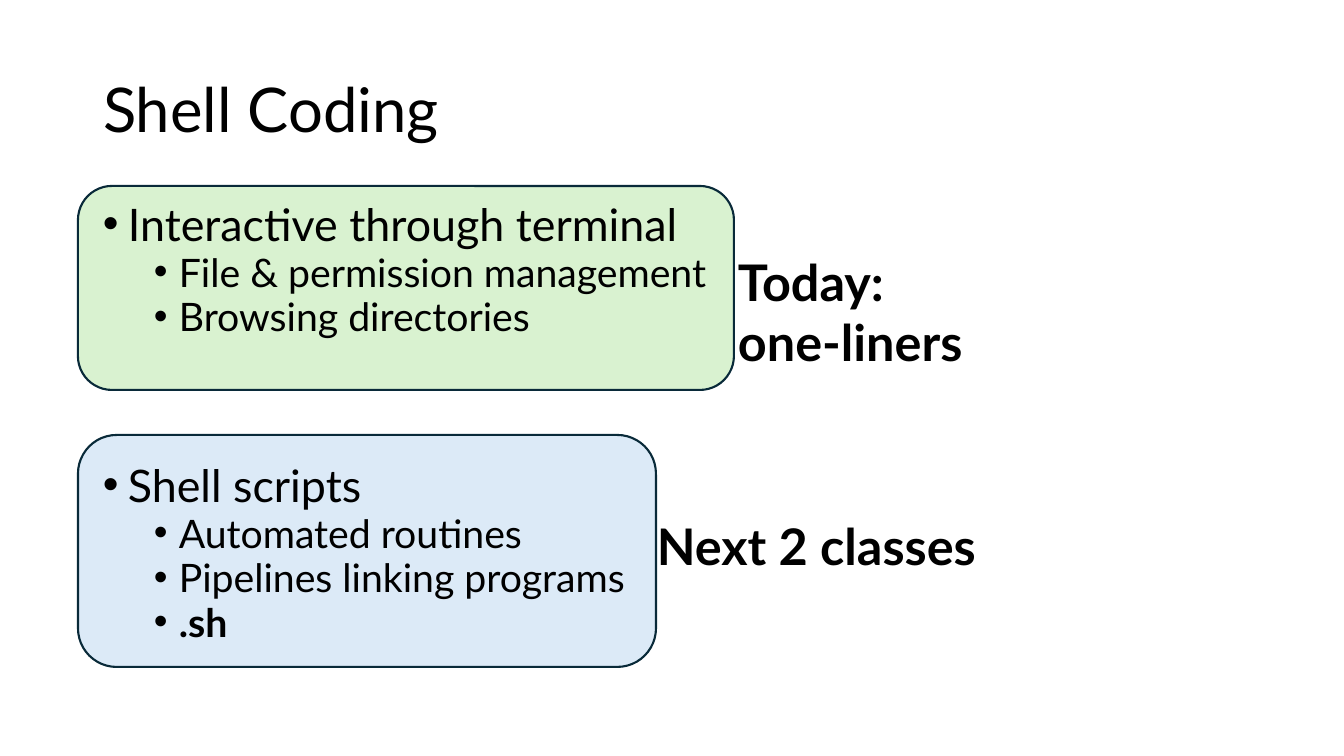
from lxml import etree
from pptx import Presentation, util as u
from pptx.dml.color import RGBColor
from pptx.enum import shapes, text
from pptx.oxml.ns import qn

SLIDE = (1344, 756)
FONT = "Lato"
COLORS = {"ink": "000000", "outline": "092A39", "green": "D9F2D0", "blue": "DCEAF7"}
TITLE = {"text": "Shell Coding", "at": (93, 40, 1159, 146), "size": 44}
TOPICS = [
    {
        "panel": (78, 186, 656, 204), "fill": "green", "list_top": 202,
        "points": [
            (0, "Interactive through terminal", False),
            (1, "File & permission management", False),
            (1, "Browsing directories", False),
        ],
        "label": ["Today:", "one-liners"], "label_at": (728, 246, 256, 132),
    },
    {
        "panel": (78, 435, 578, 232), "fill": "blue", "list_top": 463,
        "points": [
            (0, "Shell scripts", False),
            (1, "Automated routines", False),
            (1, "Pipelines linking programs", False),
            (1, ".sh", True),
        ],
        "label": ["Next 2 classes"], "label_at": (647, 510, 354, 72),
    },
]
LEVELS = [
    {"size": 32, "before": 10, "margin": 25},
    {"size": 28, "before": 5, "margin": 76},
]
HANGING = 25
LIST_LEFT, LIST_WIDTH = 93, 660
LABEL_SIZE = 36


def px(n):
    return round(n * 914400 / 100.8)


def rgb(name):
    return RGBColor.from_string(COLORS[name])


def add_run(paragraph, words, size, bold=False):
    run = paragraph.add_run()
    run.text = words
    run.font.name = FONT
    run.font.size = u.Pt(size)
    run.font.bold = bold
    run.font.color.rgb = rgb("ink")


def next_paragraph(frame, index):
    return frame.add_paragraph() if index else frame.paragraphs[0]


def add_bullet(paragraph, margin):
    props = paragraph._p.get_or_add_pPr()
    props.set("marL", str(px(margin)))
    props.set("indent", str(-px(HANGING)))
    etree.SubElement(props, qn("a:buFont")).set("typeface", "Arial")
    etree.SubElement(props, qn("a:buChar")).set("char", "•")


def add_panel(slide, topic):
    panel = slide.shapes.add_shape(
        shapes.MSO_SHAPE.ROUNDED_RECTANGLE, *map(px, topic["panel"]))
    panel.shadow.inherit = False
    panel.fill.solid()
    panel.fill.fore_color.rgb = rgb(topic["fill"])
    panel.line.color.rgb = rgb("outline")
    panel.line.width = u.Pt(1.5)


def add_points(slide, topic):
    left, top, width, height = topic["panel"]
    list_height = top + height - topic["list_top"]
    frame = slide.shapes.add_textbox(
        *map(px, (LIST_LEFT, topic["list_top"], LIST_WIDTH, list_height))).text_frame
    frame.word_wrap = True
    for index, (level, words, bold) in enumerate(topic["points"]):
        style = LEVELS[level]
        point = next_paragraph(frame, index)
        point.level = level
        point.line_spacing = 0.8
        point.space_before = u.Pt(style["before"])
        add_bullet(point, style["margin"])
        add_run(point, words, style["size"], bold)


def add_label(slide, topic):
    frame = slide.shapes.add_textbox(*map(px, topic["label_at"])).text_frame
    frame.word_wrap = False
    frame.auto_size = text.MSO_AUTO_SIZE.SHAPE_TO_FIT_TEXT
    for index, words in enumerate(topic["label"]):
        add_run(next_paragraph(frame, index), words, LABEL_SIZE, True)


def main():
    deck = Presentation()
    deck.slide_width, deck.slide_height = map(px, SLIDE)
    slide = deck.slides.add_slide(deck.slide_layouts[5])

    title = slide.shapes.title
    title.left, title.top, title.width, title.height = map(px, TITLE["at"])
    title.text_frame.vertical_anchor = text.MSO_ANCHOR.MIDDLE
    heading = title.text_frame.paragraphs[0]
    heading.alignment = text.PP_ALIGN.LEFT
    heading.line_spacing = 0.9
    add_run(heading, TITLE["text"], TITLE["size"])

    for add_part in (add_panel, add_points, add_label):
        for topic in TOPICS:
            add_part(slide, topic)
    deck.save("out.pptx")


if __name__ == "__main__":
    main()
